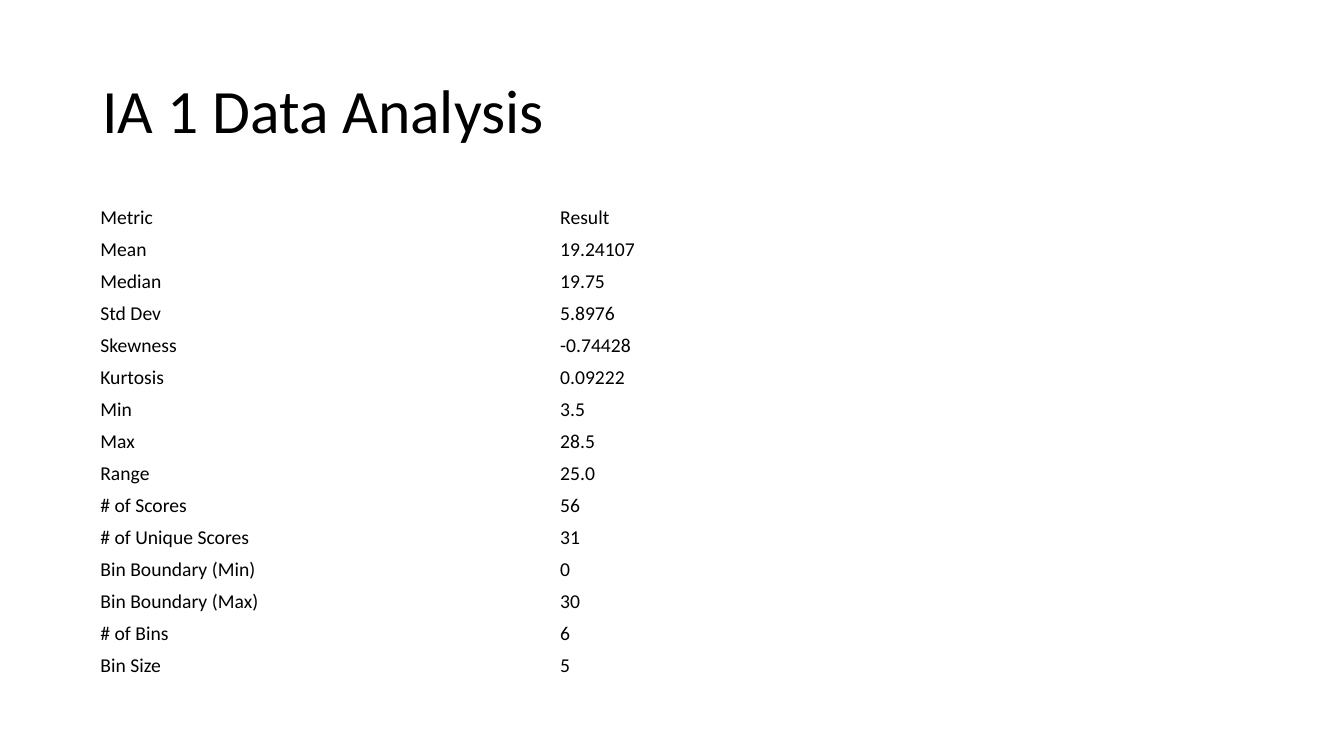
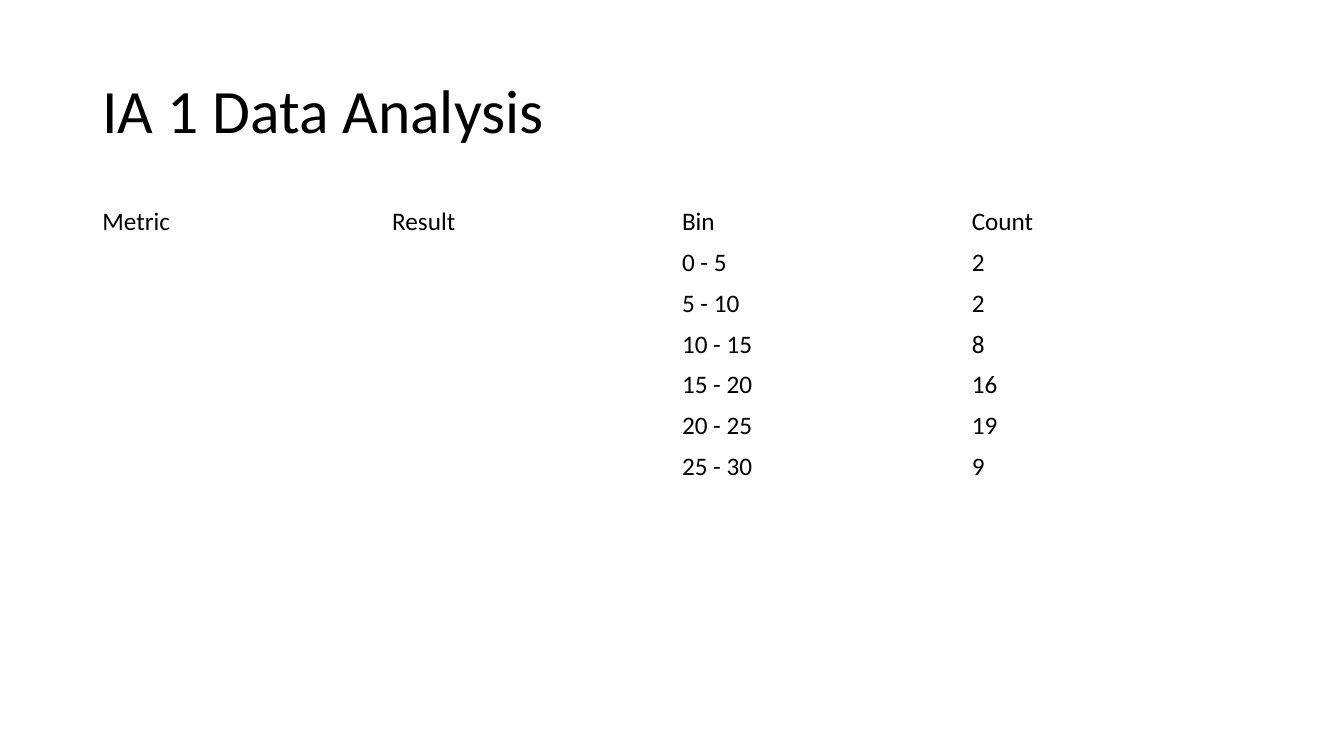
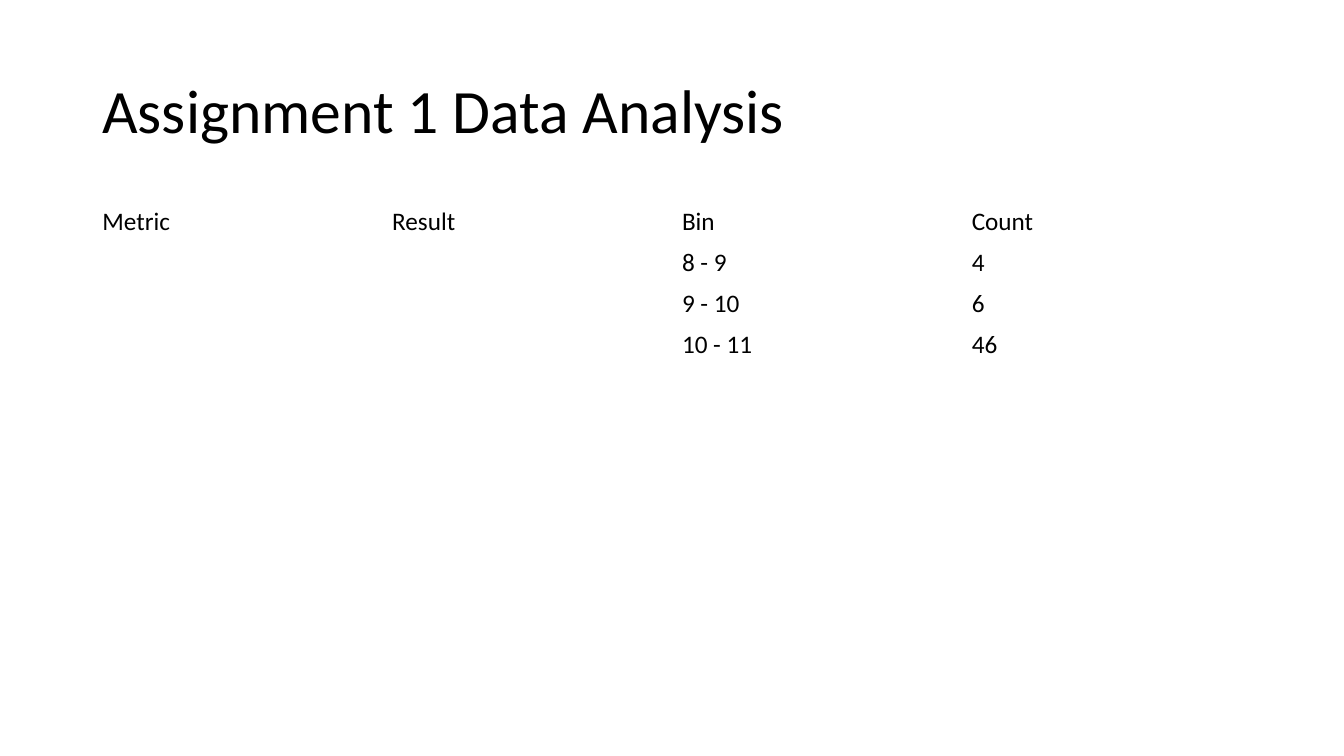
from pptx import Presentation
from pptx.dml.color import RGBColor
from pptx.enum import text
from pptx.util import Pt

METRICS = [
    ("Metric", "Result"),
    ("Mean", "19.24107"),
    ("Median", "19.75"),
    ("Std Dev", "5.8976"),
    ("Skewness", "-0.74428"),
    ("Kurtosis", "0.09222"),
    ("Min", "3.5"),
    ("Max", "28.5"),
    ("Range", "25.0"),
    ("# of Scores", "56"),
    ("# of Unique Scores", "31"),
    ("Bin Boundary (Min)", "0"),
    ("Bin Boundary (Max)", "30"),
    ("# of Bins", "6"),
    ("Bin Size", "5"),
]


def color(hex_code):
    return RGBColor.from_string(hex_code)


def write(frame, words, size, hex_code, font, spacing=None):
    paragraph = frame.paragraphs[0]
    paragraph.line_spacing = spacing
    run = paragraph.add_run()
    run.text = words
    run.font.size = Pt(size)
    run.font.name = font
    run.font.color.rgb = color(hex_code)


def binned(start, step, counts):
    """Rows with a header; the metric columns stay empty below it."""
    rows = [("Metric", "Result", "Bin", "Count")]
    for i, count in enumerate(counts):
        low = start + i * step
        rows.append(("", "", f"{low} - {low + step}", str(count)))
    return rows


class Deck:
    FONT = "Calibri"
    INK = "000000"
    PAPER = "FFFFFF"
    LEFT, WIDTH = 66, 828
    TITLE_TOP, TITLE_HEIGHT = 28.75, 104.4
    TABLE_TOP = 144

    def __init__(self):
        self.prs = Presentation()
        self.prs.slide_width, self.prs.slide_height = Pt(960), Pt(540)
        self.slide = None

    def add_slide(self, title):
        self.slide = self.prs.slides.add_slide(self.prs.slide_layouts[6])
        box = self.slide.shapes.add_textbox(
            Pt(self.LEFT), Pt(self.TITLE_TOP), Pt(self.WIDTH), Pt(self.TITLE_HEIGHT))
        frame = box.text_frame
        frame.word_wrap = True
        frame.vertical_anchor = text.MSO_ANCHOR.MIDDLE
        write(frame, title, 44, self.INK, self.FONT, spacing=0.9)

    def table(self, rows, col_width, row_height, size, inset_x=7.2, inset_y=3.6):
        columns = len(rows[0])
        table = self.slide.shapes.add_table(
            len(rows), columns, Pt(self.LEFT), Pt(self.TABLE_TOP),
            Pt(col_width * columns), Pt(row_height * len(rows))).table
        table.first_row = table.horz_banding = False
        for column in table.columns:
            column.width = Pt(col_width)
        for r, row in enumerate(rows):
            table.rows[r].height = Pt(row_height)
            for c, words in enumerate(row):
                cell = table.cell(r, c)
                cell.fill.solid()
                cell.fill.fore_color.rgb = color(self.PAPER)
                cell.vertical_anchor = text.MSO_ANCHOR.MIDDLE
                cell.margin_left = cell.margin_right = Pt(inset_x)
                cell.margin_top = cell.margin_bottom = Pt(inset_y)
                if words:
                    write(cell.text_frame, words, size, self.INK, self.FONT)


def main():
    deck = Deck()
    deck.add_slide("IA 1 Data Analysis")
    deck.table(METRICS, 328.5, 22.85, 14, inset_x=5.7, inset_y=2.85)

    histograms = [
        ("IA 1 Data Analysis", binned(0, 5, [2, 2, 8, 16, 19, 9])),
        ("Assignment 1 Data Analysis", binned(8, 1, [4, 6, 46])),
    ]
    for title, rows in histograms:
        deck.add_slide(title)
        deck.table(rows, deck.WIDTH / 4, 29.17, 18)

    deck.prs.save("out.pptx")


if __name__ == "__main__":
    main()
